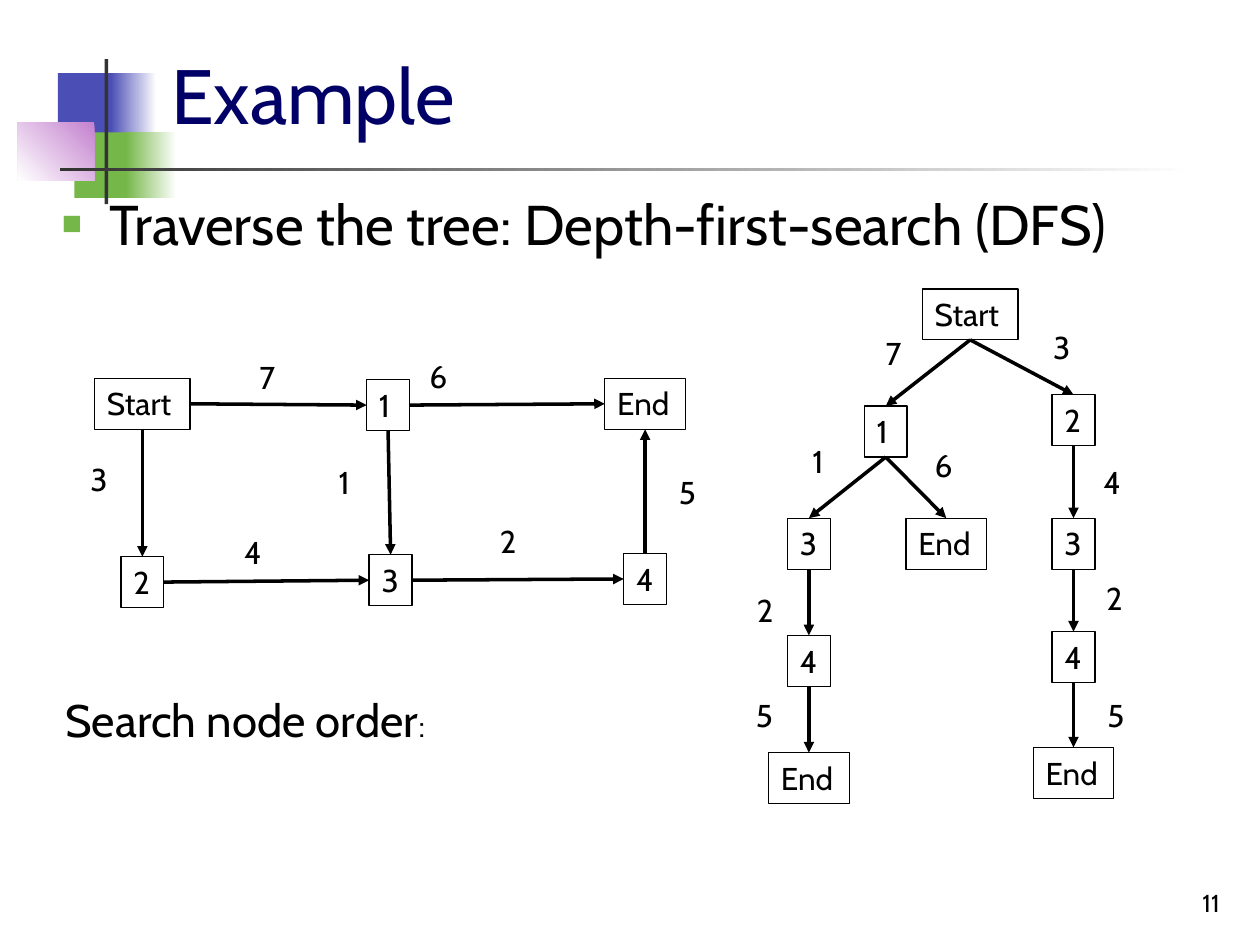
from lxml import etree
from pptx import Presentation, util as u
from pptx.dml.color import RGBColor
from pptx.enum import shapes, text
from pptx.oxml.ns import qn

CELL = u.Inches(0.1)  # the slide is a grid of 100 columns by 75 rows
FONT = "Cabin"
BLACK, NAVY, GREY = "000000", "000066", "333333"
BLUE, GREEN, PURPLE, WHITE = "4B4EB5", "76B749", "C481CF", "FFFFFF"
NODE_WIDTHS = {"Start": 7.6, "End": 6.4}
DIGIT_WIDTH, NODE_HEIGHT = 3.4, 4.05
TOP, LEFT, BOTTOM, RIGHT = range(4)


def grid(*cells):
    return [u.Emu(round(c * CELL)) for c in cells]


def colour(value):
    return RGBColor.from_string(value)


def add_xml(parent, tag, **attrs):
    return etree.SubElement(parent, qn(tag), attrs)


def write(sp, *runs, size=18, color=BLACK, align=text.PP_ALIGN.LEFT,
          anchor=text.MSO_ANCHOR.TOP, wrap=True, grow=False):
    """Fill a shape with one paragraph; a run is a string or (string, size)."""
    tf = sp.text_frame
    tf.word_wrap = wrap
    tf.vertical_anchor = anchor
    fit = text.MSO_AUTO_SIZE
    tf.auto_size = fit.SHAPE_TO_FIT_TEXT if grow else fit.NONE
    p = tf.paragraphs[0]
    p.alignment = align
    p.space_before = u.Pt(0)
    for run in runs:
        words, points = (run, size) if isinstance(run, str) else run
        r = p.add_run()
        r.text = words
        r.font.name, r.font.size = FONT, u.Pt(points)
        r.font.color.rgb = colour(color)
    return p


def place(sp, box):
    """Move a placeholder to the box and bring it to the front."""
    sp.left, sp.top, sp.width, sp.height = grid(*box)
    sp.element.getparent().append(sp.element)


def add_box(s, box):
    sp = s.shapes.add_shape(shapes.MSO_SHAPE.RECTANGLE, *grid(*box))
    sp.shadow.inherit = False
    return sp


def add_block(s, box, *colors, angle=0):
    """Borderless rectangle in one colour, or in a gradient of two."""
    sp = add_box(s, box)
    sp.line.fill.background()
    if len(colors) == 1:
        sp.fill.solid()
        sp.fill.fore_color.rgb = colour(colors[0])
        return
    sp.fill.gradient()
    sp.fill.gradient_angle = angle
    for stop, value in zip(sp.fill.gradient_stops, colors):
        stop.color.rgb = colour(value)


def add_ornament(s, box):
    x, y = box
    add_block(s, (x + 3.2, y + 1.1, 4.8, 5.2), BLUE)
    add_block(s, (x + 7.4, y + 1.1, 3.6, 5.2), WHITE, BLUE, angle=180)
    add_block(s, (x + 4.5, y + 5.8, 4.6, 5.2), GREEN)
    add_block(s, (x + 8.6, y + 5.8, 4, 5.2), WHITE, GREEN, angle=180)
    add_block(s, (x, y + 5, 6.1, 4.6), PURPLE, WHITE, angle=225)
    add_block(s, (x + 6.9, y, 0.3, 11.5), GREY)
    add_block(s, (x + 3.4, y + 8.6, 90, 0.3), WHITE, GREY, angle=180)


def add_title(s, box, words):
    place(s.shapes.title, box)
    write(s.shapes.title, words, size=44, color=NAVY, anchor=text.MSO_ANCHOR.BOTTOM)


def add_bullet(s, box, words):
    body = s.placeholders[1]
    place(body, box)
    p = write(body, words, size=32)
    pPr = p._p.get_or_add_pPr()
    pPr.set("marL", str(u.Inches(0.38)))
    pPr.set("indent", str(-u.Inches(0.38)))
    add_xml(add_xml(pPr, "a:buClr"), "a:srgbClr", val=GREEN)
    add_xml(pPr, "a:buSzPct", val="60000")
    add_xml(pPr, "a:buChar", char="■")


def add_text(s, box, *runs, **style):
    write(s.shapes.add_textbox(*grid(*box)), *runs, **style)


def centred(origin, at, words):
    width = NODE_WIDTHS.get(words, DIGIT_WIDTH)
    return (origin[0] + at[0] - width / 2, origin[1] + at[1] - NODE_HEIGHT / 2,
            width, NODE_HEIGHT)


def add_node(s, box, words):
    sp = add_box(s, box)
    sp.fill.background()
    sp.line.color.rgb = colour(BLACK)
    sp.line.width = u.Pt(0)
    write(sp, words, wrap=False, grow=True)
    return sp


def add_arrow(s, start, start_side, end, end_side):
    c = s.shapes.add_connector(shapes.MSO_CONNECTOR.STRAIGHT, 0, 0, 0, 0)
    c.begin_connect(start, start_side)
    c.end_connect(end, end_side)
    c.line.color.rgb = colour(BLACK)
    c.line.width = u.Pt(2)
    add_xml(c.line._get_or_add_ln(), "a:tailEnd", type="triangle")
    add_xml(c._element.spPr, "a:effectLst")


def add_network(s, origin, nodes, edges):
    """Nodes are name: (x, y), where the first word of a name is shown.

    Edges are (start, end, weight, weight centre, start side, end side).
    """
    drawn = {}
    for name, at in nodes.items():
        words = name.split()[0]
        drawn[name] = add_node(s, centred(origin, at, words), words)
    for start, end, weight, at, *sides in edges:
        start_side, end_side = sides or (BOTTOM, TOP)
        add_arrow(s, drawn[start], start_side, drawn[end], end_side)
        add_text(s, centred(origin, at, weight), weight, wrap=False, grow=True)


def add_graph(s, origin):
    nodes = {"Start": (5.3, 4.05), "1": (24.8, 4.15), "End": (45.2, 4.05),
             "2": (5.3, 18.2), "3": (25, 18.05), "4": (45.2, 17.95)}
    across = (RIGHT, LEFT)
    add_network(s, origin, nodes, [
        ("Start", "1", "7", (15.3, 1.95), *across),
        ("1", "End", "6", (28.8, 1.85), *across),
        ("2", "3", "4", (14.1, 15.85), *across),
        ("3", "4", "2", (34.4, 14.95), *across),
        ("Start", "2", "3", (1.9, 10.05)),
        ("1", "3", "1", (21.6, 10.25)),
        ("4", "End", "5", (48.6, 11.05), TOP, BOTTOM)])


def add_tree(s, origin):
    left, right, level = 5.2, 26.2, 20.15
    nodes = {"Start": (18, 1.95), "1": (11.3, 11.25), "2": (right, 10.35),
             "3 left": (left, level), "End middle": (16.1, level),
             "3 right": (right, level),
             "4 left": (left, 29.45), "End left": (left, 38.75),
             "4 right": (right, 29.15), "End right": (right, 38.35)}
    add_network(s, origin, nodes, [
        ("Start", "1", "7", (12, 5.05)),
        ("Start", "2", "3", (25.3, 4.55)),
        ("1", "3 left", "1", (6.2, 13.65)),
        ("1", "End middle", "6", (15.9, 13.95)),
        ("3 left", "4 left", "2", (1.8, 25.45)),
        ("4 left", "End left", "5", (1.7, 33.75)),
        ("2", "3 right", "4", (29.3, 15.25)),
        ("3 right", "4 right", "2", (29.5, 24.45)),
        ("4 right", "End right", "5", (29.6, 33.75))])


def main():
    prs = Presentation()
    prs.slide_width, prs.slide_height = grid(100, 75)
    s = prs.slides.add_slide(prs.slide_layouts[1])
    add_ornament(s, (1.4, 4.7))
    add_title(s, (12.6, 2.3, 85.2, 9.3), "Example")
    add_bullet(s, (3.9, 14.5, 94.6, 9.1), "Traverse the tree: Depth-first-search (DFS)")
    add_graph(s, (6, 28))
    add_tree(s, (59, 23))
    add_text(s, (4.2, 54.4, 53.1, 8.4), "Search node order", (":", 18), size=26)
    add_text(s, (77, 68.3, 20.8, 5), "11", size=14, align=text.PP_ALIGN.RIGHT,
             anchor=text.MSO_ANCHOR.BOTTOM)
    prs.save("out.pptx")


if __name__ == "__main__":
    main()
